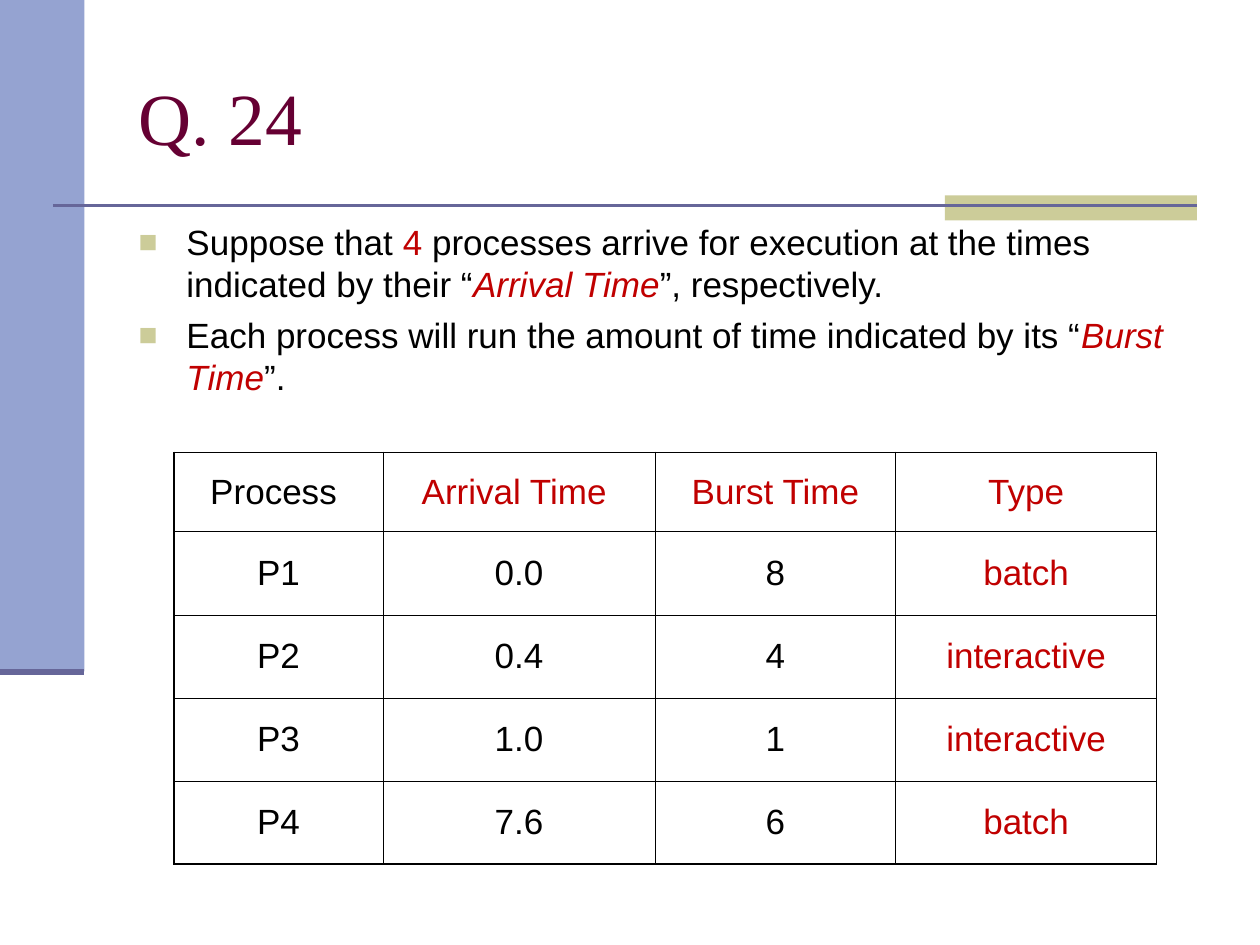
from lxml.etree import SubElement
from pptx import Presentation
from pptx.dml.color import RGBColor
from pptx.enum.shapes import MSO_CONNECTOR, MSO_SHAPE
from pptx.enum.text import MSO_ANCHOR, MSO_AUTO_SIZE, PP_ALIGN
from pptx.oxml.ns import qn
from pptx.util import Inches, Pt

THEME = {
    "head": "660033", "text": "000000", "mark": "C00000",
    "side": "95A3D1", "tab": "CCCC99", "rule": "666699",
    "title": 42, "body": 20, "serif": "Times New Roman", "sans": "Arial",
    "inner": 0.45, "outer": 1.08,
}

TITLE = "Q. 24"
# Each run: text, style ("" plain, "c" coloured, "ci" coloured italic)
POINTS = [
    [("Suppose that ", ""), ("4", "c"),
     (" processes arrive for execution at the times indicated by their “", ""),
     ("Arrival Time", "ci"), ("”, respectively.", "")],
    [("Each process will run the amount of time indicated by its “", ""),
     ("Burst Time", "ci"), ("”.", "")],
]
ROWS = [
    ("Process ", "Arrival Time ", "Burst Time", "Type"),
    ("P1", "0.0", "8", "batch"),
    ("P2", "0.4", "4", "interactive"),
    ("P3", "1.0", "1", "interactive"),
    ("P4", "7.6", "6", "batch"),
]
COLS = (1.66, 2.16, 1.91, 2.07)
HEAD_ROW, ROW = 0.63, 0.66

BLOCKS = [((0, 0, 0.67, 5.33), "side"), ((7.5, 1.55, 2, 0.2), "tab")]
RULES = [((0.42, 1.63, 9.5, 1.63), 1.5), ((0, 5.33, 0.67, 5.33), 3.5)]


def color(key):
    return RGBColor.from_string(THEME[key])


def inches(box):
    return [Inches(n) for n in box]


def place(shape, box):
    shape.left, shape.top, shape.width, shape.height = inches(box)


def style(font, size, face, key):
    font.size, font.name = Pt(THEME[size]), THEME[face]
    font.color.rgb = color(key)


def add_decor(slide):
    """Draw the side bar, tab and rules behind the placeholders."""
    parts = []
    for box, key in BLOCKS:
        block = slide.shapes.add_shape(MSO_SHAPE.RECTANGLE, *inches(box))
        block.shadow.inherit = False
        block.fill.solid()
        block.fill.fore_color.rgb = color(key)
        block.line.fill.background()
        parts.append(block)
    for ends, width in RULES:
        rule = slide.shapes.add_connector(MSO_CONNECTOR.STRAIGHT, *inches(ends))
        rule.line.color.rgb = color("rule")
        rule.line.width = Pt(width)
        SubElement(rule._element.spPr, qn("a:effectLst"))
        parts.append(rule)
    tree = slide.shapes._spTree
    for i, part in enumerate(parts):
        tree.insert(2 + i, part._element)


def add_bullet(para):
    props = para._p.get_or_add_pPr()
    props.set("marL", str(Inches(0.38)))
    props.set("indent", str(Inches(-0.38)))
    tint = SubElement(props, qn("a:buClr"))
    SubElement(tint, qn("a:srgbClr"), val=THEME["tab"])
    SubElement(props, qn("a:buSzPct"), val="90000")
    SubElement(props, qn("a:buFont"), typeface=THEME["sans"])
    SubElement(props, qn("a:buChar"), char="■")


def fill_title(shape):
    place(shape, (1, 0.3, 8.5, 1.25))
    shape.text_frame.vertical_anchor = MSO_ANCHOR.MIDDLE
    para = shape.text_frame.paragraphs[0]
    para.text, para.alignment = TITLE, PP_ALIGN.LEFT
    style(para.font, "title", "serif", "head")


def fill_body(shape):
    place(shape, (1, 1.7, 8.41, 2))
    frame = shape.text_frame
    frame.auto_size = MSO_AUTO_SIZE.NONE
    for i, runs in enumerate(POINTS):
        para = frame.add_paragraph() if i else frame.paragraphs[0]
        para.space_before = Pt(5 if i else 0)
        add_bullet(para)
        style(para.font, "body", "sans", "text")
        for text, look in runs:
            run = para.add_run()
            run.text = text
            style(run.font, "body", "sans", "mark" if look else "text")
            run.font.italic = "i" in look


def add_border(cell, outer):
    """Line all four sides; outer names the sides on the table's edge."""
    props = cell._tc.get_or_add_tcPr()
    for side in "LRTB":
        width = THEME["outer" if side in outer else "inner"]
        line = SubElement(props, qn("a:ln" + side), w=str(Pt(width)))
        fill = SubElement(line, qn("a:solidFill"))
        SubElement(fill, qn("a:srgbClr"), val=THEME["text"])


def add_grid(slide):
    last_row, last_col = len(ROWS) - 1, len(COLS) - 1
    box = (1.38, 3.59, sum(COLS), HEAD_ROW + ROW * last_row)
    table = slide.shapes.add_table(len(ROWS), len(COLS), *inches(box)).table
    table.first_row = table.horz_banding = False
    for col, width in zip(table.columns, COLS):
        col.width = Inches(width)
    for r, row in enumerate(ROWS):
        table.rows[r].height = Inches(ROW if r else HEAD_ROW)
        for c, text in enumerate(row):
            cell = table.cell(r, c)
            edges = {"L": c == 0, "R": c == last_col,
                     "T": r == 0, "B": r == last_row}
            add_border(cell, [side for side, on in edges.items() if on])
            cell.fill.background()
            cell.vertical_anchor = MSO_ANCHOR.MIDDLE
            para = cell.text_frame.paragraphs[0]
            para.text, para.alignment = text, PP_ALIGN.CENTER
            red = c == last_col or (r == 0 and c > 0)
            style(para.font, "body", "sans", "mark" if red else "text")


def main():
    deck = Presentation()
    deck.slide_width, deck.slide_height = Inches(10), Inches(7.5)
    slide = deck.slides.add_slide(deck.slide_layouts[1])
    fill_title(slide.shapes.title)
    fill_body(slide.placeholders[1])
    add_decor(slide)
    add_grid(slide)
    deck.save("out.pptx")


if __name__ == "__main__":
    main()
